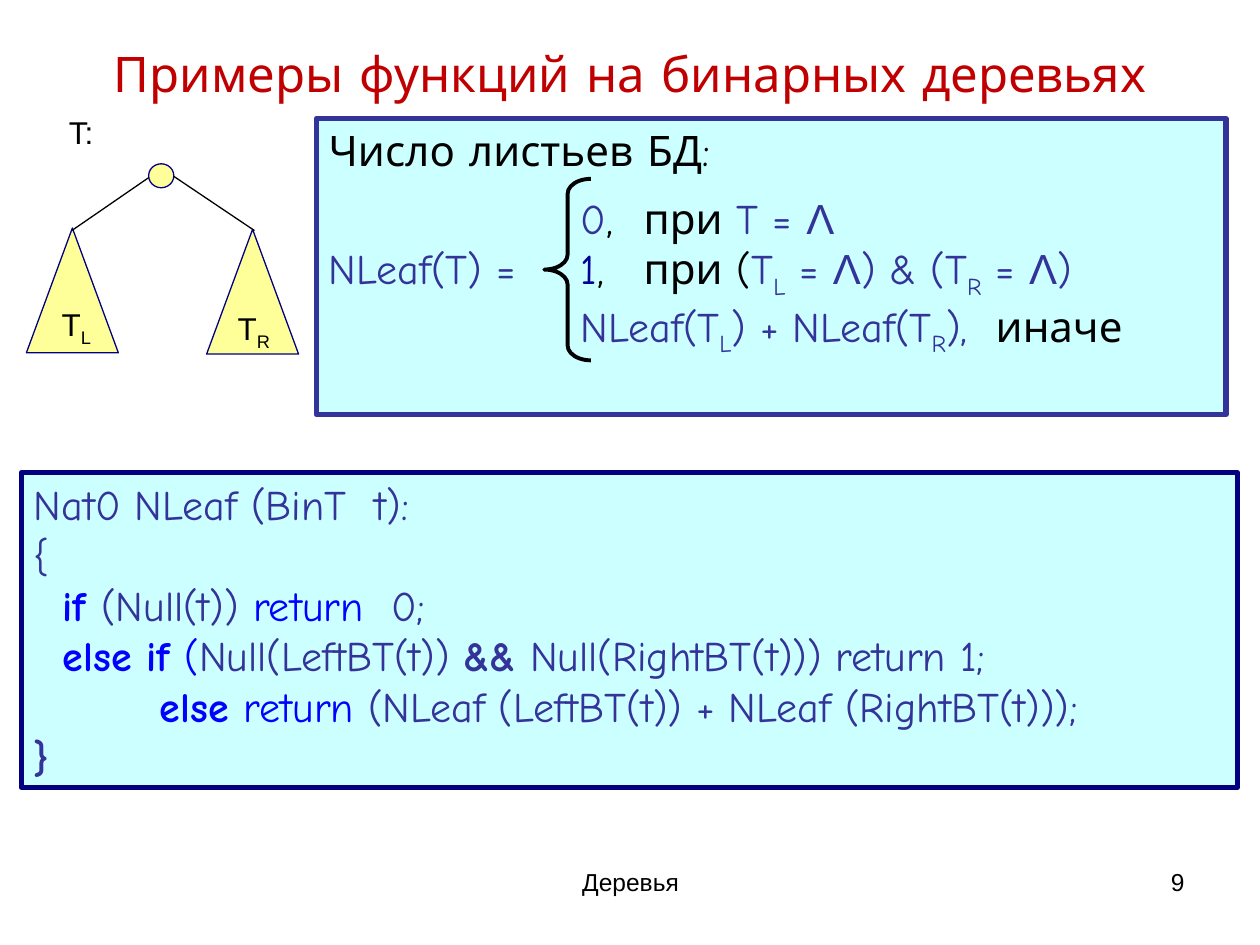
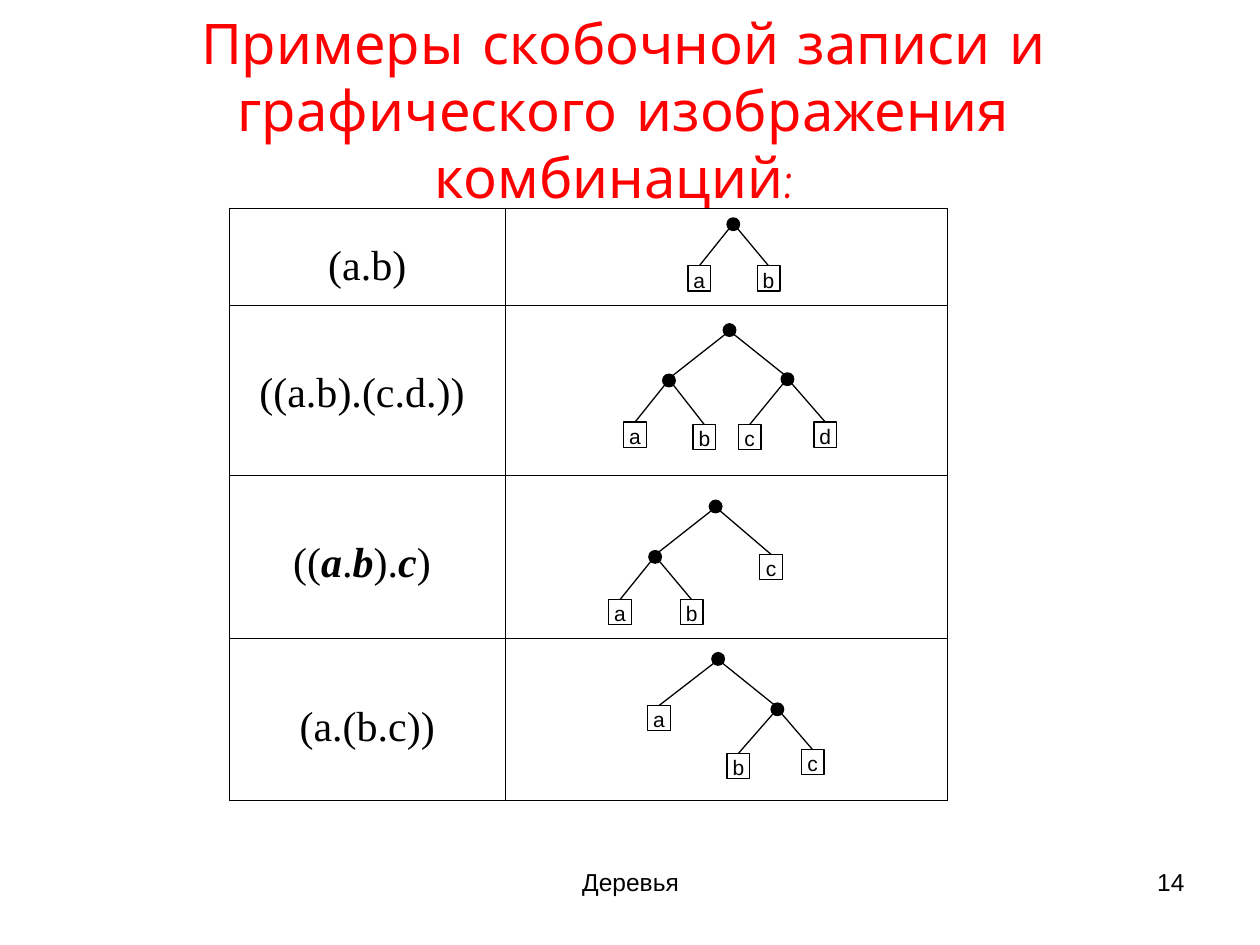
from lxml import etree
from pptx import Presentation
from pptx import util as u
from pptx.dml.color import RGBColor
from pptx.enum import shapes, text
from pptx.oxml import ns

Inches, Pt = u.Inches, u.Pt
SHAPE, ALIGN, ANCHOR = shapes.MSO_SHAPE, text.PP_ALIGN, text.MSO_ANCHOR

# Shared look
BLACK, WHITE, NAVY = "000000", "FFFFFF", "000080"
CODE, KEYWORD, DIGIT = "333399", "0000FF", "000099"
PANEL, NODE = "CCFFFF", "FFFF99"
COMIC, SANS, SERIF = "Comic Neue", "Arial", "Times New Roman"
NO_MARGINS = (0.02, 0.01)
DOT, LEAF_W, LEAF_H = 0.1, 0.18, 0.2


def rgb(colour):
    return RGBColor.from_string(colour)


def box_of(left, top, width, height):
    return Inches(left), Inches(top), Inches(width), Inches(height)


def write(paragraph, runs, size, font, colour=BLACK, align=ALIGN.LEFT):
    """Add runs given as (text, colour, options); a plain string is one run."""
    paragraph.alignment = align
    for run_spec in [(runs,)] if isinstance(runs, str) else runs:
        words, run_colour, options = (*run_spec, None, None)[:3]
        options = options or {}
        run = paragraph.add_run()
        run.text = words
        run.font.size = Pt(size)
        run.font.name = options.get("font", font)
        run.font.bold = options.get("bold", False)
        run.font.italic = options.get("italic", False)
        run.font.color.rgb = rgb(run_colour or colour)
        if options.get("sub"):
            run.font._element.set("baseline", "-25000")


def set_frame(frame, margins=(0.1, 0.05), anchor=ANCHOR.TOP):
    frame.word_wrap = True
    frame.auto_size = text.MSO_AUTO_SIZE.NONE
    frame.vertical_anchor = anchor
    frame.margin_left = frame.margin_right = Inches(margins[0])
    frame.margin_top = frame.margin_bottom = Inches(margins[1])


def add_label(slide, box, runs, size, align=ALIGN.CENTER, margins=(0.1, 0.05)):
    frame = slide.shapes.add_textbox(*box_of(*box)).text_frame
    set_frame(frame, margins)
    write(frame.paragraphs[0], runs, size, SANS, align=align)


def add_outline(slide, kind, box, fill, line=BLACK, width=0.75):
    shape = slide.shapes.add_shape(kind, *box_of(*box))
    shape.shadow.inherit = False
    if fill:
        shape.fill.solid()
        shape.fill.fore_color.rgb = rgb(fill)
    else:
        shape.fill.background()
    shape.line.color.rgb = rgb(line)
    shape.line.width = Pt(width)
    return shape


def add_edge(slide, start, end):
    edge = slide.shapes.add_connector(
        shapes.MSO_CONNECTOR.STRAIGHT, *(Inches(v) for v in (*start, *end)))
    edge.line.color.rgb = rgb(BLACK)
    edge.line.width = Pt(0.75)
    etree.SubElement(edge._element.spPr, ns.qn("a:effectLst"))


def start_slide(prs, title, box, size, colour, number):
    slide = prs.slides.add_slide(prs.slide_layouts[5])
    heading = slide.shapes.title
    heading.left, heading.top, heading.width, heading.height = box_of(*box)
    set_frame(heading.text_frame, anchor=ANCHOR.MIDDLE)
    write(heading.text_frame.paragraphs[0], title, size, COMIC, colour, ALIGN.CENTER)
    # Footer
    add_label(slide, (3.42, 6.83, 3.17, 0.52), "Деревья", 14)
    add_label(slide, (7.17, 6.83, 2.33, 0.52), number, 14, ALIGN.RIGHT)
    return slide


def add_panel(slide, box, lines, border):
    """Framed panel; each line is (indent, space before, runs)."""
    panel = add_outline(slide, SHAPE.RECTANGLE, box, PANEL, border, 3)
    frame = panel.text_frame
    set_frame(frame)
    for i, (indent, gap, runs) in enumerate(lines):
        paragraph = frame.add_paragraph() if i else frame.paragraphs[0]
        if gap:
            paragraph.space_before = Pt(gap)
        if indent:
            properties = paragraph._p.get_or_add_pPr()
            properties.set("marL", str(Inches(indent)))
            properties.set("indent", "0")
        write(paragraph, runs, 24, COMIC, CODE)


# Slide 1: leaf count
SUB, BOLD, GREEK = {"sub": True}, {"bold": True}, {"font": SANS}

DEFINITION = [
    (0, 0, [("Число листьев БД:", BLACK)]),
    (2, 10, [("0",), (", \tпри ", BLACK), ("T = ",), ("Λ", CODE, GREEK)]),
    (0, 0, [("NLeaf(T) = \t",), ("1", DIGIT), (",\tпри (", BLACK),
            ("T",), ("L", CODE, SUB), (" = ",), ("Λ", CODE, GREEK),
            (") & (T",), ("R", CODE, SUB), (" = ",), ("Λ", CODE, GREEK), (")",)]),
    (2, 0, [("NLeaf(T",), ("L", CODE, SUB), (") + NLeaf(T",), ("R", CODE, SUB),
            ("),",), ("  иначе", BLACK)]),
]

PROGRAM = [
    (0, 0, "Nat0 NLeaf (BinT  t):"),
    (0, 0, "{"),
    (0.23, 0, [("if ", KEYWORD, BOLD), ("(Null(t)) ",), ("return", KEYWORD), ("  0;",)]),
    (0.23, 0, [("else if", KEYWORD, BOLD), (" (", KEYWORD), ("Null(LeftBT(t)) ",),
               ("&&", CODE, BOLD), (" Null(RightBT(t))) return 1;",)]),
    (1, 0, [("else ", KEYWORD, BOLD), ("return", KEYWORD),
            (" (NLeaf (LeftBT(t)) + NLeaf (RightBT(t)));",)]),
    (0, 0, [("}", CODE, BOLD)]),
]


def add_subtree_scheme(slide, left, top):
    """Root with its left and right subtrees."""
    for x, y in ((0, 0.92), (1.43, 0.93)):
        add_outline(slide, SHAPE.ISOSCELES_TRIANGLE,
                    (left + x, top + y, 0.73, 0.99), NODE, NAVY)
    add_outline(slide, SHAPE.OVAL, (left + 0.97, top + 0.41, 0.2, 0.19), NODE, NAVY)
    add_edge(slide, (left + 0.97, top + 0.52), (left + 0.36, top + 0.94))
    add_edge(slide, (left + 1.17, top + 0.51), (left + 1.81, top + 0.94))
    for x, y, width, runs in (
            (0.27, 0, 0.33, "T:"),
            (0.23, 1.52, 0.33, [("T",), ("L", BLACK, SUB)]),
            (1.58, 1.55, 0.45, [("T",), ("R", BLACK, SUB)])):
        add_label(slide, (left + x, top + y, width, 0.36), runs, 18, margins=NO_MARGINS)


def add_definition(slide, left, top):
    add_panel(slide, (left, top, 7.22, 2.35), DEFINITION, CODE)
    brace = add_outline(slide, SHAPE.LEFT_BRACE,
                        (left + 1.81, top + 0.48, 0.37, 1.44), None, BLACK, 2.25)
    brace.adjustments[0] = 0.32


def build_leaf_count(prs):
    slide = start_slide(prs, "Примеры функций на бинарных деревьях",
                        (0.5, 0.3, 9, 0.56), 28, "C00000", "9")
    add_subtree_scheme(slide, 0.21, 0.89)
    add_panel(slide, (0.17, 3.75, 9.65, 2.5), PROGRAM, NAVY)
    add_definition(slide, 2.51, 0.94)


# Slide 2: bracket notation and trees
STRONG = {"bold": True, "italic": True}

# Row: height, space above the notation, notation, tree.
# A branch is (x, y, left, right), a leaf (x, y, letter); centres within the cell.
COMBINATIONS = [
    (0.77, 0.28, "(a.b)",
     (1.81, 0.13, (1.54, 0.56, "a"), (2.09, 0.56, "b"))),
    (1.35, 0.52, "((a.b).(c.d.)) ",
     (1.78, 0.2,
      (1.3, 0.6, (1.03, 1.03, "a"), (1.58, 1.05, "b")),
      (2.24, 0.59, (1.94, 1.05, "c"), (2.54, 1.03, "d")))),
    (1.3, 0.52, [("((",), ("a", BLACK, STRONG), (".",), ("b", BLACK, STRONG),
                 (").",), ("c", BLACK, STRONG), (") ",)],
     (1.67, 0.25,
      (1.19, 0.65, (0.91, 1.09, "a"), (1.48, 1.09, "b")),
      (2.11, 0.73, "c"))),
    (1.28, 0.52, "(a.(b.c))",
     (1.69, 0.16, (1.22, 0.63, "a"),
      (2.16, 0.56, (1.85, 1.01, "b"), (2.44, 0.98, "c")))),
]


def set_borders(cell):
    properties = cell._tc.get_or_add_tcPr()
    for i, side in enumerate(("lnL", "lnR", "lnT", "lnB")):
        line = etree.Element(ns.qn("a:" + side), w=str(Pt(0.45)))
        fill = etree.SubElement(line, ns.qn("a:solidFill"))
        etree.SubElement(fill, ns.qn("a:srgbClr"), val=BLACK)
        properties.insert(i, line)


def add_tree(slide, left, top, node):
    x, y = left + node[0], top + node[1]
    if len(node) == 3:
        leaf = add_outline(slide, SHAPE.RECTANGLE,
                           (x - LEAF_W / 2, y - LEAF_H / 2, LEAF_W, LEAF_H), WHITE)
        set_frame(leaf.text_frame, NO_MARGINS)
        write(leaf.text_frame.paragraphs[0], node[2], 12, SANS, align=ALIGN.CENTER)
        return
    add_outline(slide, SHAPE.OVAL, (x - DOT / 2, y - DOT / 2, DOT, DOT), BLACK)
    for side, child in zip((-1, 1), node[2:]):
        is_leaf = len(child) == 3
        end_x = left + child[0] - (0 if is_leaf else side * 0.03)
        end_y = top + child[1] - (LEAF_H / 2 if is_leaf else 0.04)
        add_edge(slide, (x + side * 0.03, y + 0.03), (end_x, end_y))
        add_tree(slide, left, top, child)


def add_combinations(slide, left, top, widths):
    height = sum(row[0] for row in COMBINATIONS)
    table = slide.shapes.add_table(
        len(COMBINATIONS), 2, *box_of(left, top, sum(widths), height)).table
    table.first_row = table.horz_banding = False
    for column, width in zip(table.columns, widths):
        column.width = Inches(width)
    for i, (row_height, space, notation, tree) in enumerate(COMBINATIONS):
        table.rows[i].height = Inches(row_height)
        for cell in table.rows[i].cells:
            cell.fill.background()
            set_borders(cell)
        cell = table.cell(i, 0)
        cell.margin_left = cell.margin_right = Inches(0.08)
        cell.margin_top = Inches(space)
        write(cell.text_frame.paragraphs[0], notation, 24, SERIF, align=ALIGN.CENTER)
        add_tree(slide, left + widths[0], top, tree)
        top += row_height


def build_combinations(prs):
    slide = start_slide(
        prs, "Примеры скобочной записи и графического изображения комбинаций: ",
        (0.45, 0.24, 9, 1.25), 32, "FF0000", "14")
    add_combinations(slide, 1.82, 1.65, (2.19, 3.51))


def main():
    prs = Presentation()
    prs.slide_width, prs.slide_height = Inches(10), Inches(7.5)
    build_leaf_count(prs)
    build_combinations(prs)
    prs.save("out.pptx")


if __name__ == "__main__":
    main()
